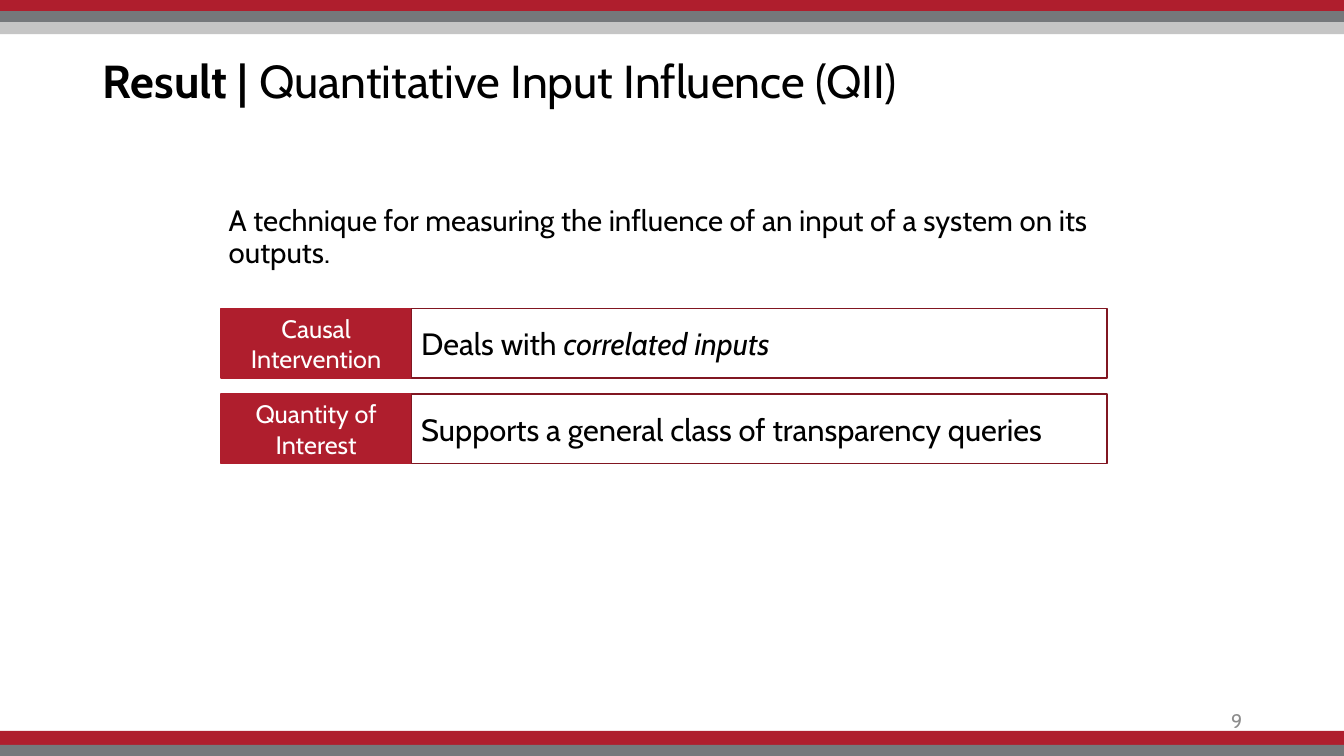
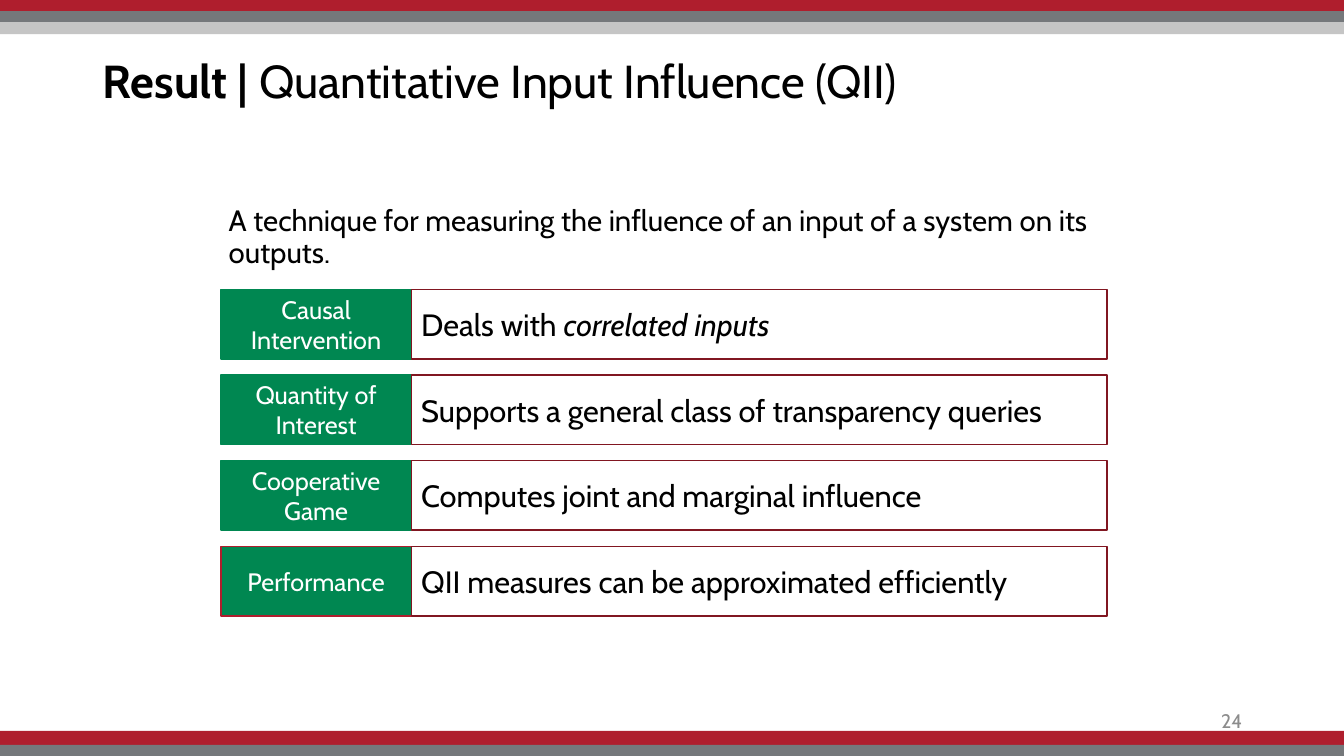
import pptx
import pptx.util
import pptx.dml.color
import pptx.enum.shapes
import pptx.enum.text

Inches = pptx.util.Inches
Pt = pptx.util.Pt
ALIGN = pptx.enum.text.PP_ALIGN
MIDDLE = pptx.enum.text.MSO_ANCHOR.MIDDLE
RECT = pptx.enum.shapes.MSO_SHAPE.RECTANGLE

COLORS = {
    "red": "AF1E2D", "wine": "811621", "green": "008751",
    "gray": "75787B", "light": "C5C5C5", "mute": "8C8C8C",
    "black": "000000", "white": "FFFFFF",
}
WIDTH, HEIGHT = 13.33, 7.5
BANDS = [  # top, height, colour
    (0, 0.11, "red"), (0.11, 0.11, "gray"), (0.22, 0.12, "light"),
    (7.25, 0.15, "red"), (7.39, 0.11, "gray"),
]
LEFT, SPLIT, RIGHT = 2.19, 4.08, 10.98
ROW, PITCH = 0.69, 0.85

TITLE = [("Result |", "b"), (" Quantitative Input Influence (QII)", "")]
INTRO = ("A technique for measuring the influence of an input of a system "
         "on its outputs.")
CAUSAL = ("Causal Intervention",
          [("Deals with ", ""), ("correlated inputs", "i")])
QUERY = ("Quantity of Interest",
         [("Supports a general class of transparency queries", "")])
GAME = ("Cooperative Game", [("Computes joint and marginal influence", "")])
SPEED = ("Performance",
         [("QII measures can be approximated efficiently", "")])


def color(name):
    return pptx.dml.color.RGBColor.from_string(COLORS[name])


class Deck:
    def __init__(self):
        self.show = pptx.Presentation()
        self.show.slide_width = Inches(WIDTH)
        self.show.slide_height = Inches(HEIGHT)
        self.slide = None

    def label(self, shape, runs, size, tint="black", align=ALIGN.LEFT):
        """Fill a shape with one paragraph of (text, style) runs."""
        frame = shape.text_frame
        frame.word_wrap = True
        para = frame.paragraphs[0]
        para.alignment = align
        para.font.name = "Cabin"
        para.font.size = Pt(size)
        para.font.color.rgb = color(tint)
        for text, style in runs:
            run = para.add_run()
            run.text = text
            if style == "b":
                run.font.bold = True
            elif style == "i":
                run.font.italic = True
        return para

    def rect(self, shapes, x, y, w, h, fill, line=None):
        box = shapes.add_shape(RECT, Inches(x), Inches(y), Inches(w), Inches(h))
        box.shadow.inherit = False
        box.fill.solid()
        box.fill.fore_color.rgb = color(fill)
        if line:
            box.line.color.rgb = color(line)
            box.line.width = Pt(1)
        else:
            box.line.fill.background()
        return box

    def text(self, x, y, w, h):
        return self.slide.shapes.add_textbox(
            Inches(x), Inches(y), Inches(w), Inches(h))

    def title(self, runs):
        head = self.slide.shapes.title
        head.left, head.top = Inches(0.92), Inches(0.1)
        head.width, head.height = Inches(11.5), Inches(1.45)
        head.text_frame.vertical_anchor = MIDDLE
        self.label(head, runs, 33).line_spacing = 0.9

    def intro(self, text):
        para = self.label(self.text(2.17, 2, 8.81, 0.8), [(text, "")], 21)
        para.line_spacing = 0.9
        para.space_before = Pt(7.5)

    def number(self, page):
        box = self.text(9.42, 6.95, 3, 0.4)
        box.text_frame.vertical_anchor = MIDDLE
        self.label(box, [(str(page), "")], 14, "mute", ALIGN.RIGHT)

    def start(self, page):
        """Add a slide with the bands, title, intro and page number."""
        self.slide = self.show.slides.add_slide(self.show.slide_layouts[5])
        for top, high, fill in BANDS:
            self.rect(self.slide.shapes, 0, top, WIDTH, high, fill)
        self.title(TITLE)
        self.number(page)
        self.intro(INTRO)

    def row(self, y, name, runs, fill, edge):
        shapes = self.slide.shapes.add_group_shape().shapes
        tag = self.rect(shapes, LEFT, y, SPLIT - LEFT, ROW, fill, edge)
        self.label(tag, [(name, "")], 18, "white", ALIGN.CENTER)
        body = self.rect(shapes, SPLIT, y, RIGHT - SPLIT, ROW, "white", "wine")
        self.label(body, runs, 22)
        for box in (tag, body):
            box.text_frame.vertical_anchor = MIDDLE

    def rows(self, top, items, fill, last):
        """Stack labelled rows; last is the edge colour of the final tag."""
        for i, (name, runs) in enumerate(items):
            edge = last if i == len(items) - 1 else fill
            self.row(top + i * PITCH, name, runs, fill, edge)


def main():
    deck = Deck()
    deck.start(9)
    deck.rows(3.06, [CAUSAL, QUERY], "red", "red")
    deck.start(24)
    deck.rows(2.87, [CAUSAL, QUERY, GAME, SPEED], "green", "red")
    deck.show.save("out.pptx")


if __name__ == "__main__":
    main()
